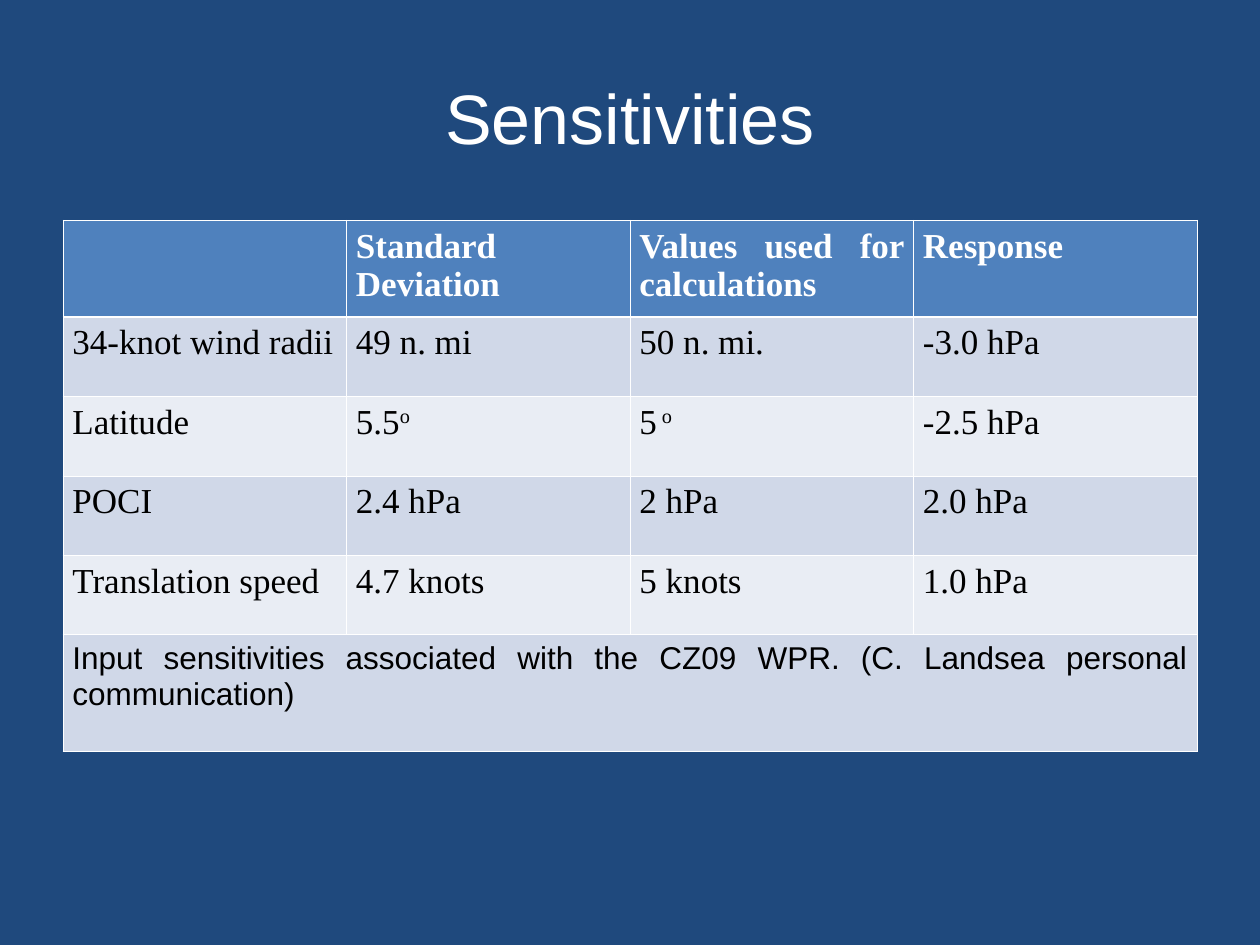
from dataclasses import dataclass

from pptx import Presentation
from pptx.dml.color import RGBColor
from pptx.enum.text import MSO_ANCHOR, PP_ALIGN
from pptx.oxml.ns import qn
from pptx.slide import Slide
from pptx.table import Table, _Cell
from pptx.util import Cm, Pt
from lxml.etree import SubElement

NAVY = RGBColor(0x1F, 0x49, 0x7D)
BLUE = RGBColor(0x4F, 0x81, 0xBD)
BAND_DARK = RGBColor(0xD0, 0xD8, 0xE8)
BAND_LIGHT = RGBColor(0xE9, 0xED, 0xF4)
WHITE = RGBColor(0xFF, 0xFF, 0xFF)
BLACK = RGBColor(0, 0, 0)
THIN, THICK = Pt(0.45), Pt(1.47)


@dataclass(frozen=True)
class CellText:
    text: str
    superscript: str = ""


@dataclass(frozen=True)
class TextStyle:
    font: str
    size: int
    color: RGBColor
    bold: bool = False


@dataclass(frozen=True)
class Row:
    cells: tuple[CellText, ...]
    height: float
    fill: RGBColor
    style: TextStyle
    top: Pt = THIN
    bottom: Pt = THIN


TITLE = TextStyle("Arial", 40, WHITE)
HEADER = TextStyle("Times New Roman", 20, WHITE, True)
BODY = TextStyle("Times New Roman", 20, BLACK)
NOTE = TextStyle("Arial", 18, BLACK)


def texts(*values: str) -> tuple[CellText, ...]:
    return tuple(CellText(value) for value in values)


ROWS = (
    Row(texts("", "Standard Deviation", "Values used for calculations", "Response"),
        1.7, BLUE, HEADER, bottom=THICK),
    Row(texts("34-knot wind radii", "49 n. mi", "50 n. mi.", "-3.0 hPa"),
        1.6, BAND_DARK, BODY, top=THICK),
    Row((CellText("Latitude"), CellText("5.5", "o"), CellText("5", " o"), CellText("-2.5 hPa")),
        1.6, BAND_LIGHT, BODY),
    Row(texts("POCI", "2.4 hPa", "2 hPa", "2.0 hPa"), 1.6, BAND_DARK, BODY),
    Row(texts("Translation speed", "4.7 knots", "5 knots", "1.0 hPa"), 1.6, BAND_LIGHT, BODY),
    Row(texts("Input sensitivities associated with the CZ09 WPR. "
              "(C. Landsea personal communication)", "", "", ""),
        2.36, BAND_DARK, NOTE),
)


def write_text(p, content: CellText, style: TextStyle, align: PP_ALIGN) -> None:
    p.alignment = align
    p.font.name = style.font
    p.font.size = Pt(style.size)
    p.font.bold = style.bold
    p.font.color.rgb = style.color
    if content.text:
        p.add_run().text = content.text
    if content.superscript:
        r = p.add_run()
        r.text = content.superscript
        r.font._element.set("baseline", "30000")


def set_borders(cell: _Cell, top: Pt, bottom: Pt) -> None:
    tc_pr = cell._tc.get_or_add_tcPr()
    for side, width in (("L", THIN), ("R", THIN), ("T", top), ("B", bottom)):
        line = SubElement(tc_pr, qn(f"a:ln{side}"), w=str(int(width)))
        fill = SubElement(line, qn("a:solidFill"))
        SubElement(fill, qn("a:srgbClr"), val=str(WHITE))


def fill_row(table: Table, index: int, row: Row) -> None:
    table.rows[index].height = Cm(row.height)
    for column, content in enumerate(row.cells):
        cell = table.cell(index, column)
        cell.margin_left = cell.margin_right = Cm(0.19)
        cell.margin_top = cell.margin_bottom = Cm(0.13)
        set_borders(cell, row.top, row.bottom)
        cell.fill.solid()
        cell.fill.fore_color.rgb = row.fill
        p = cell.text_frame.paragraphs[0]
        p.space_after = Pt(12)
        write_text(p, content, row.style, PP_ALIGN.JUSTIFY)


def add_title(s: Slide, text: str) -> None:
    sp = s.shapes.add_textbox(Cm(1.27), Cm(0.76), Cm(22.86), Cm(3.18))
    tf = sp.text_frame
    tf.word_wrap = True
    tf.vertical_anchor = MSO_ANCHOR.MIDDLE
    write_text(tf.paragraphs[0], CellText(text), TITLE, PP_ALIGN.CENTER)


def add_sensitivity_table(s: Slide, rows: tuple[Row, ...]) -> None:
    columns = len(rows[0].cells)
    height = Cm(sum(row.height for row in rows))
    table = s.shapes.add_table(
        len(rows), columns, Cm(1.27), Cm(4.44), Cm(22.86), height).table
    for index, row in enumerate(rows):
        fill_row(table, index, row)
    last = len(rows) - 1
    table.cell(last, 0).merge(table.cell(last, columns - 1))


def main() -> None:
    prs = Presentation()
    prs.slide_width, prs.slide_height = Cm(25.4), Cm(19.05)
    s = prs.slides.add_slide(prs.slide_layouts[6])
    s.background.fill.solid()
    s.background.fill.fore_color.rgb = NAVY
    add_title(s, "Sensitivities")
    add_sensitivity_table(s, ROWS)
    prs.save("out.pptx")


if __name__ == "__main__":
    main()
